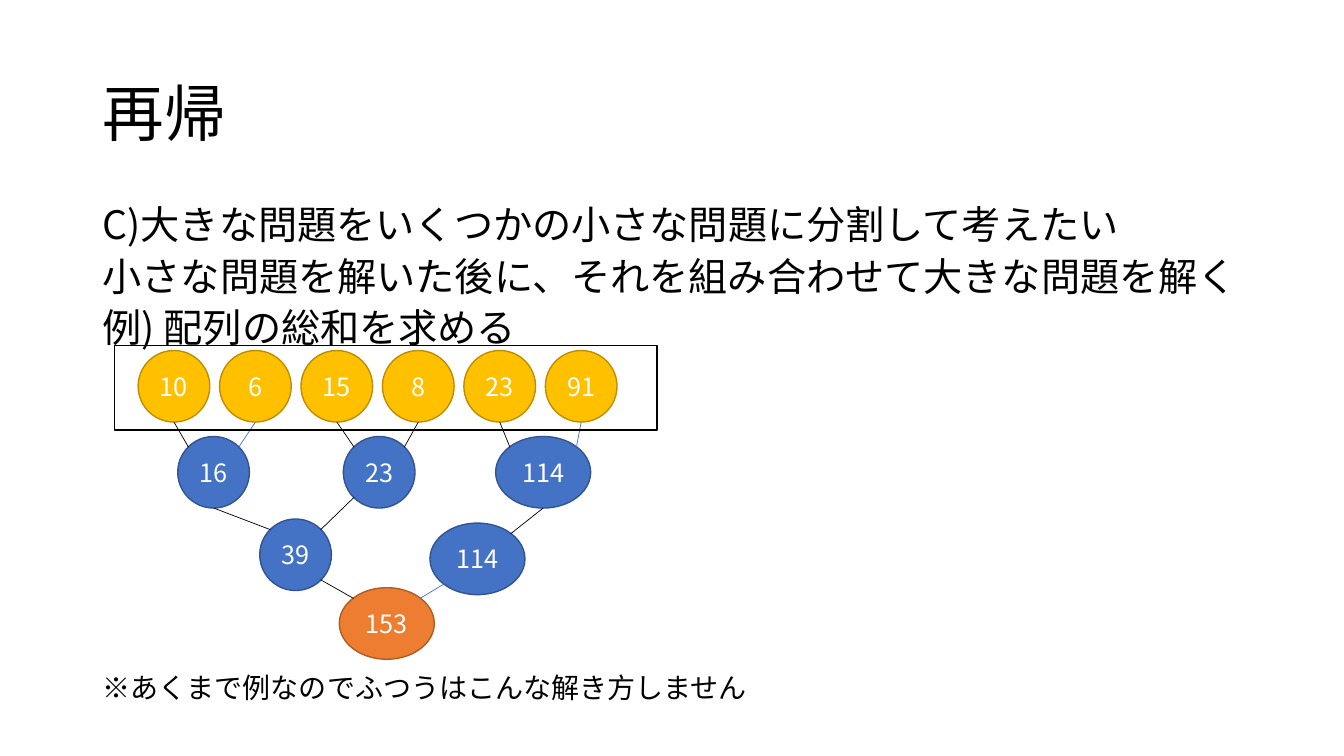
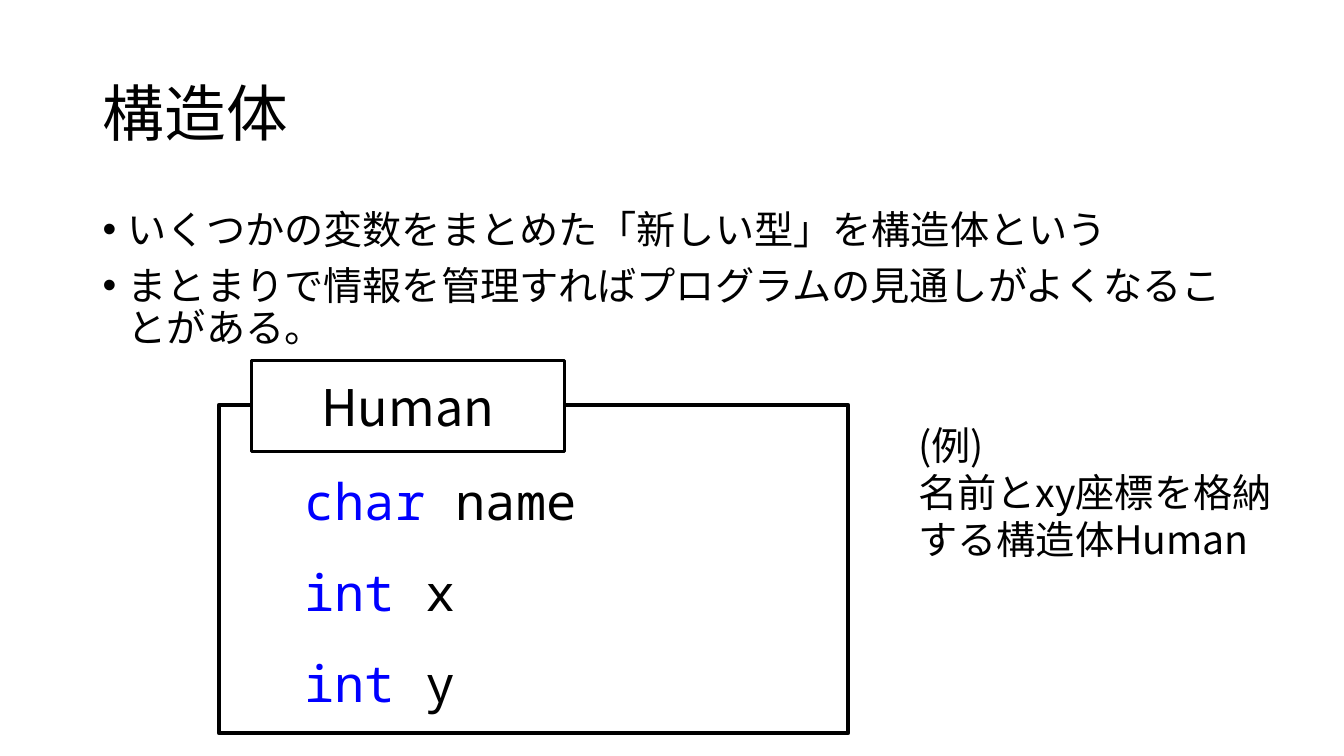
from dataclasses import dataclass

from pptx import Presentation
from pptx.dml.color import RGBColor
from pptx.enum.shapes import MSO_CONNECTOR as CONN, MSO_SHAPE as SHAPE
from pptx.enum.text import MSO_ANCHOR as ANCHOR, MSO_AUTO_SIZE as AUTO, PP_ALIGN as ALIGN
from pptx.oxml.ns import qn
from pptx.util import Inches, Pt
from lxml.etree import SubElement


@dataclass(frozen=True)
class Theme:
    sans: str = "Noto Sans CJK JP"
    mono: str = "Noto Sans Mono"
    black: str = "000000"
    white: str = "FFFFFF"
    keyword: str = "0000FF"
    blue: str = "4472C4"
    leaf: tuple = ("FFC000", "BD8E00")
    node: tuple = ("4472C4", "325491")
    root: tuple = ("ED7D31", "AF5C24")
    title: int = 44
    code: int = 36
    body: int = 28
    note: int = 20
    label: int = 18
    leading: float = 1.2


T = Theme()


@dataclass(frozen=True)
class Box:
    x: float
    y: float
    w: float
    h: float

    def share(self, x, y, w, h):
        return Box(self.x + self.w * x / 100, self.y + self.h * y / 100,
                   self.w * w / 100, self.h * h / 100)

    def centred(self, cx, cy, w, h):
        return self.share(cx - w / 2, cy - h / 2, w, h)

    def point(self, x, y):
        return Inches(self.x + self.w * x), Inches(self.y + self.h * y)

    def emu(self):
        return [Inches(v) for v in (self.x, self.y, self.w, self.h)]


PAGE = Box(0, 0, 13.33, 7.5)
SITES = {"tl": (0.15, 0.15), "tr": (0.85, 0.15), "bl": (0.15, 0.85),
         "br": (0.85, 0.85), "b": (0.5, 1)}


def apply(obj, formats):
    for name, value in formats.items():
        setattr(obj, name, value)


def add_run(p, text, size, color, font):
    r = p.add_run()
    r.text = text
    apply(r.font, {"size": Pt(size), "name": font})
    r.font.color.rgb = RGBColor.from_string(color)
    SubElement(r._r.get_or_add_rPr(), qn("a:ea")).set("typeface", font)


def add_bullet(p):
    pPr = p._p.get_or_add_pPr()
    for name, value in {"marL": 0.25, "indent": -0.25}.items():
        pPr.set(name, str(Inches(value)))
    SubElement(pPr, qn("a:buFont")).set("typeface", "Arial")
    SubElement(pPr, qn("a:buChar")).set("char", "•")


def write(tf, lines, size, spacing=None, gap=0, font=T.sans, color=T.black,
          align=ALIGN.LEFT, anchor=ANCHOR.TOP, bullets=False):
    apply(tf, {"word_wrap": True, "auto_size": AUTO.NONE, "vertical_anchor": anchor})
    for i, line in enumerate(lines):
        p = tf.paragraphs[0] if i == 0 else tf.add_paragraph()
        apply(p, {"alignment": align, "space_before": Pt(gap if i else 0)})
        if spacing:
            p.line_spacing = Pt(round(size * T.leading * spacing, 1))
        if bullets:
            add_bullet(p)
        for text, tint in [(line, color)] if isinstance(line, str) else line:
            add_run(p, text, size, tint, font)


def text_box(s, box, lines, size, **formats):
    write(s.shapes.add_textbox(*box.emu()).text_frame, lines, size, **formats)


def add_shape(s, kind, box, fill, line, width):
    sp = s.shapes.add_shape(kind, *box.emu())
    sp.shadow.inherit = False
    if fill:
        sp.fill.solid()
        sp.fill.fore_color.rgb = RGBColor.from_string(fill)
    else:
        sp.fill.background()
    sp.line.color.rgb = RGBColor.from_string(line)
    sp.line.width = Pt(width)
    return sp


def add_label(sp, text, size, color):
    apply(sp.text_frame, {"margin_left": 0, "margin_right": 0})
    write(sp.text_frame, [text], size, color=color, align=ALIGN.CENTER, anchor=ANCHOR.MIDDLE)


def add_edge(s, start, end, color):
    line = s.shapes.add_connector(CONN.STRAIGHT, *start, *end)
    line.line.color.rgb = RGBColor.from_string(color)
    line.line.width = Pt(0.5)
    SubElement(line._element.spPr, qn("a:effectLst"))


def titled_slide(prs, title):
    s = prs.slides.add_slide(prs.slide_layouts[5])
    sp = s.shapes.title
    apply(sp, dict(zip(("left", "top", "width", "height"),
                       PAGE.share(6.9, 5.7, 86.3, 19.3).emu())))
    write(sp.text_frame, [title], T.title, spacing=0.9, anchor=ANCHOR.MIDDLE)
    return s


def sum_tree(s, box):
    height, narrow, wide = 22.8, 13.2, 17.5
    leaves = [10, 6, 15, 8, 23, 91]
    nodes = [(n, 11 + 15 * i, 13, narrow, T.leaf) for i, n in enumerate(leaves)]
    nodes += [
        (16, 18.3, 40.4, narrow, T.node),
        (23, 48.8, 40.4, narrow, T.node),
        (114, 79, 40.4, wide, T.node),
        (39, 33.4, 66.7, narrow, T.node),
        (114, 66.9, 68, wide, T.node),
        (153, 50.2, 88.6, wide, T.root),
    ]
    places = []
    for number, cx, cy, width, (fill, line) in nodes:
        place = box.centred(cx, cy, width, height)
        add_label(add_shape(s, SHAPE.OVAL, place, fill, line, 1), str(number), T.label, T.white)
        places.append(place)
    edges = [(i, "b", len(leaves) + i // 2, ("tl", "tr")[i % 2]) for i in range(len(leaves))]
    edges += [(6, "b", 9, "tl"), (7, "bl", 9, "tr"), (8, "b", 10, "tr"),
              (9, "br", 11, "tl"), (10, "bl", 11, "tr")]
    for a, out, b, into in edges:
        add_edge(s, places[a].point(*SITES[out]), places[b].point(*SITES[into]),
                 T.blue if a in (1, 5, 10) else T.black)
    add_shape(s, SHAPE.RECTANGLE, box.share(0, 0, 100, 27), None, T.black, 1)


def struct_card(s, box, name, fields):
    add_shape(s, SHAPE.RECTANGLE, box.share(0, 11.9, 100, 88.1), None, T.black, 3)
    label = add_shape(s, SHAPE.RECTANGLE, box.share(5.1, 0, 49.8, 24.3), T.white, T.black, 2.25)
    add_label(label, name, T.code, T.black)
    lines = [[(kind, T.keyword), (" " + field, T.black)] for kind, field in fields]
    text_box(s, box.share(12, 20, 65, 73.8), lines, T.code, spacing=1.5, font=T.mono)


def recursion_slide(prs):
    s = titled_slide(prs, "再帰")
    text_box(s, PAGE.share(6.9, 27.1, 86.3, 20), [
        "C)大きな問題をいくつかの小さな問題に分割して考えたい",
        "小さな問題を解いた後に、それを組み合わせて大きな問題を解く",
        "例) 配列の総和を求める",
    ], T.body, spacing=0.8, gap=10)
    sum_tree(s, PAGE.share(8.5, 45.7, 40.4, 41.5))
    text_box(s, PAGE.share(6.9, 88, 86.3, 6),
             ["※あくまで例なのでふつうはこんな解き方しません"], T.note, spacing=1)


def struct_slide(prs):
    s = titled_slide(prs, "構造体")
    text_box(s, PAGE.share(6.9, 27.1, 86.3, 20.5), [
        "いくつかの変数をまとめた「新しい型」を構造体という",
        "まとまりで情報を管理すればプログラムの見通しがよくなることがある。",
    ], T.body, spacing=0.9, gap=10, bullets=True)
    struct_card(s, PAGE.share(16.3, 47.7, 46.8, 49.3), "Human",
                [("char", "name"), ("int", "x"), ("int", "y")])
    text_box(s, PAGE.share(67.6, 55.1, 28.1, 25.5),
             ["(例)", "名前とxy座標を格納する構造体Human"], T.body, spacing=1)


def main():
    prs = Presentation()
    apply(prs, {"slide_width": Inches(PAGE.w), "slide_height": Inches(PAGE.h)})
    recursion_slide(prs)
    struct_slide(prs)
    prs.save("out.pptx")


if __name__ == "__main__":
    main()
